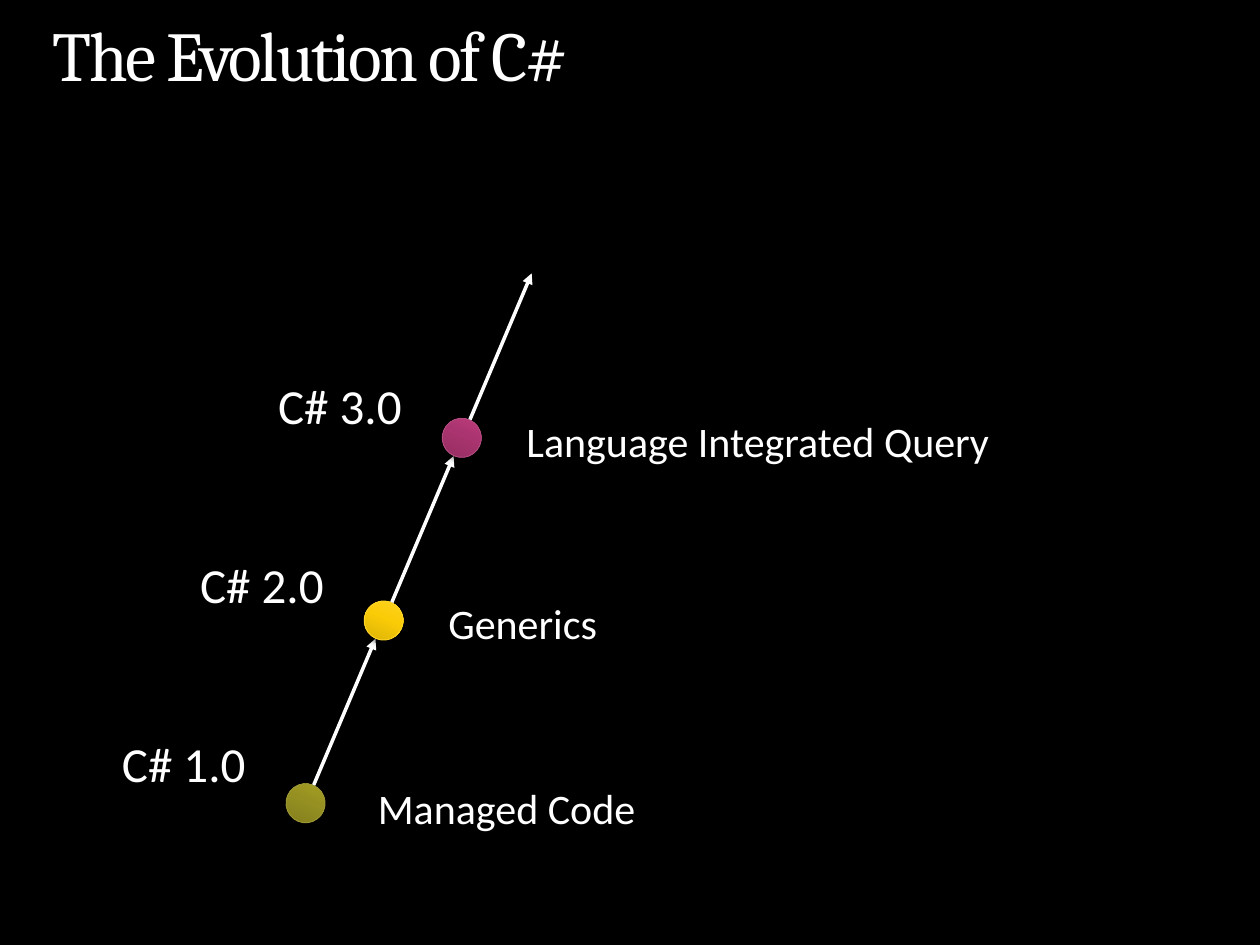
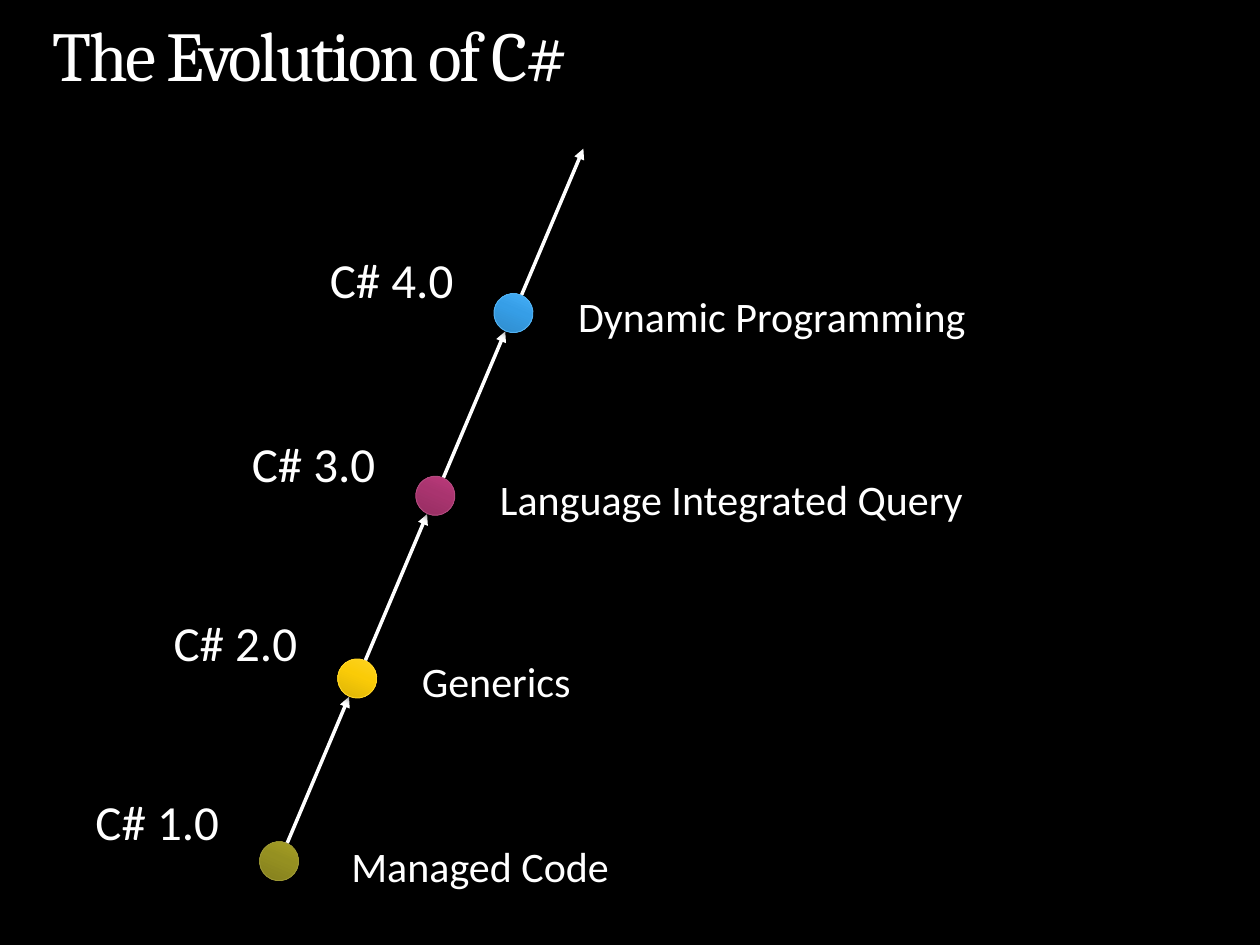
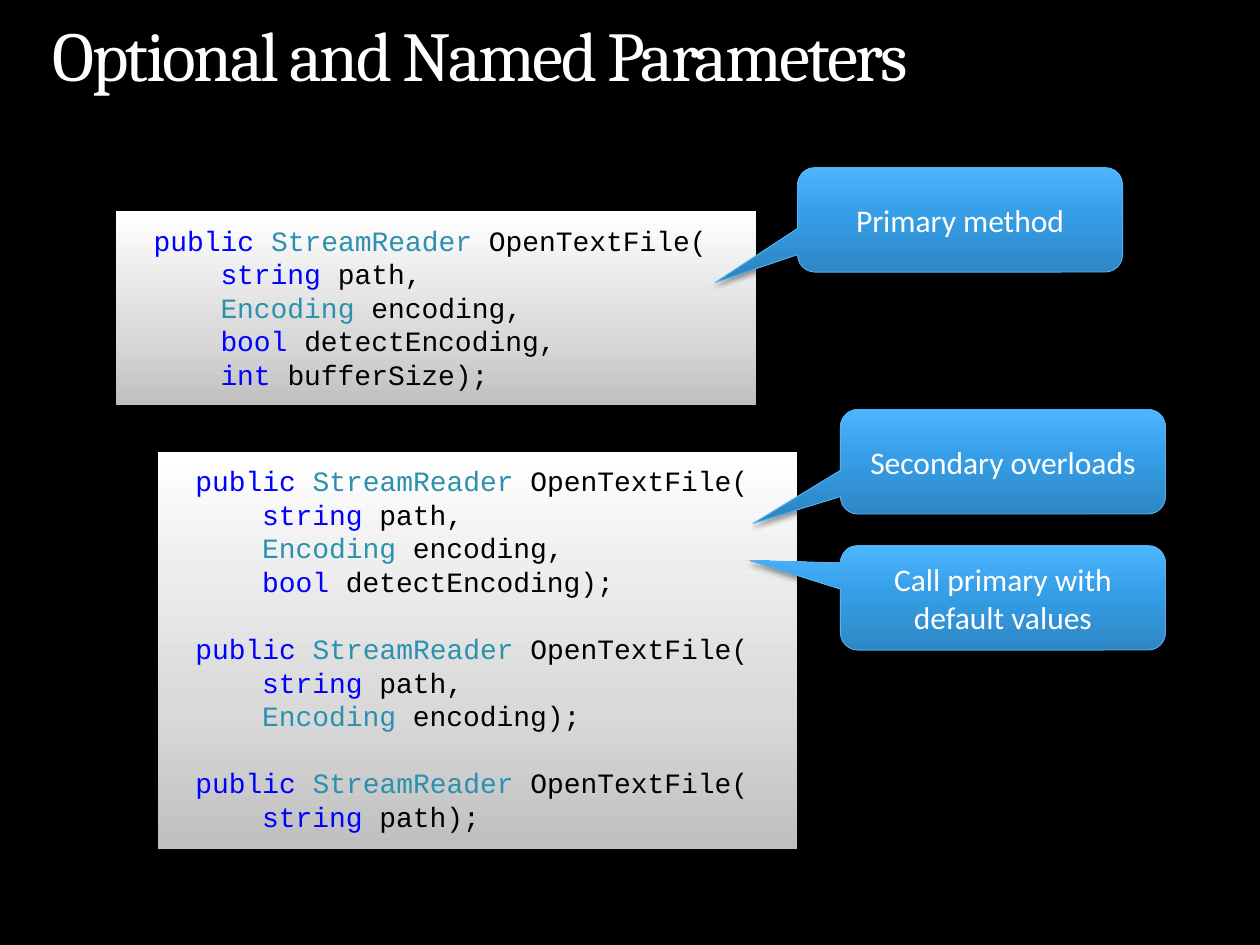
from dataclasses import dataclass

from lxml import etree
from pptx import Presentation
from pptx.dml.color import RGBColor
from pptx.enum.shapes import MSO_CONNECTOR, MSO_SHAPE
from pptx.enum.text import MSO_ANCHOR, MSO_AUTO_SIZE, PP_ALIGN
from pptx.oxml.ns import qn
from pptx.shapes.autoshape import Shape
from pptx.slide import Slide
from pptx.util import Inches, Pt

OVAL = MSO_SHAPE.OVAL
RECTANGLE = MSO_SHAPE.RECTANGLE
CALLOUT = MSO_SHAPE.ROUNDED_RECTANGULAR_CALLOUT
STRAIGHT = MSO_CONNECTOR.STRAIGHT
TOP, MIDDLE = MSO_ANCHOR.TOP, MSO_ANCHOR.MIDDLE
LEFT, CENTER = PP_ALIGN.LEFT, PP_ALIGN.CENTER
FIT_SHAPE = MSO_AUTO_SIZE.SHAPE_TO_FIT_TEXT

BLACK = RGBColor(0x00, 0x00, 0x00)
WHITE = RGBColor(0xFF, 0xFF, 0xFF)
KEYWORD_BLUE = RGBColor(0x00, 0x00, 0xFF)
TYPE_TEAL = RGBColor(0x2B, 0x91, 0xAF)

TITLE_FONT = {"name": "Cambria", "size": Pt(40)}
VERSION_FONT = {"name": "Calibri", "size": Pt(28)}
FEATURE_FONT = {"name": "Calibri", "size": Pt(24)}
CALLOUT_FONT = {"name": "Calibri", "size": Pt(18)}
CODE_FONT = {"name": "Courier New", "size": Pt(16)}
NO_MARGINS = dict.fromkeys(("margin_left", "margin_top", "margin_right", "margin_bottom"), 0)
CODE_FRAME = {"margin_left": Inches(0.2), "margin_right": Inches(0.2),
              "margin_top": Inches(0.1), "margin_bottom": Inches(0.1),
              "vertical_anchor": TOP, "word_wrap": True}
CODE_LINE = Pt(19.2)
CODE_INDENT, PARAMETER_INDENT = 0.1, 0.63
WORD_COLORS = {
    **dict.fromkeys(("public", "string", "bool", "int"), KEYWORD_BLUE),
    **dict.fromkeys(("StreamReader", "Encoding"), TYPE_TEAL),
}

DOT_SIZE, DOT_TILT = 0.31, 23.2
STEP_X, STEP_Y = 0.62, -1.45


@dataclass(frozen=True)
class Finish:
    """Gradient stops from bottom to top, outline colour and shadow blur."""
    stops: tuple[tuple[int, RGBColor], ...]
    outline: RGBColor
    blur: float = 3.1


@dataclass(frozen=True)
class Milestone:
    """A language version with its text offsets from the dot."""
    version: str
    feature: str
    finish: Finish
    label_rise: float
    label_width: float
    feature_shift: tuple[float, float]
    feature_width: float


@dataclass(frozen=True)
class CodePanel:
    """A panel of method signatures, one tuple of lines each."""
    left: float
    top: float
    height: float
    methods: tuple[tuple[str, ...], ...]


@dataclass(frozen=True)
class Note:
    """A callout with the offset of its pointer."""
    left: float
    top: float
    text: str
    pointer: tuple[float, float]


def make_finish(bottom: str, middle: str, top: str, outline: str) -> Finish:
    """Return a coloured finish with the shared stop positions."""
    colors = [RGBColor.from_string(value) for value in (bottom, middle, top)]
    return Finish(tuple(zip((0, 55, 100), colors)), RGBColor.from_string(outline))


OLIVE = make_finish("7F7A1C", "959021", "AEA726", "9C9735")
GOLD = make_finish("D4AD06", "FACB07", "FFD62C", "FED529")
PLUM = make_finish("902C5E", "A9346F", "C53D81", "B24C7F")
SKY = make_finish("2D87C4", "369EE7", "4CB6FF", "55B2F1")
PAPER = Finish(((0, RGBColor(0xBF, 0xBF, 0xBF)), (35, RGBColor(0xD9, 0xD9, 0xD9)),
                (100, WHITE)), BLACK, 3.5)

MILESTONES = (
    Milestone("C# 1.0", "Managed Code", OLIVE, 0.45, 1.37, (0.63, -0.06), 5.75),
    Milestone("C# 2.0", "Generics", GOLD, 0.42, 1.37, (0.57, -0.08), 5.36),
    Milestone("C# 3.0", "Language Integrated Query", PLUM, 0.39, 1.37, (0.57, -0.07), 5.36),
    Milestone("C# 4.0", "Dynamic Programming", SKY, 0.4, 1.2, (0.57, -0.07), 3.5),
)

SIGNATURE = "public StreamReader OpenTextFile("
PANELS = (
    CodePanel(0.92, 1.67, 1.55, (
        (SIGNATURE, "string path,", "Encoding encoding,", "bool detectEncoding,",
         "int bufferSize);"),
    )),
    CodePanel(1.25, 3.58, 3.16, (
        (SIGNATURE, "string path,", "Encoding encoding,", "bool detectEncoding);"),
        (SIGNATURE, "string path,", "Encoding encoding);"),
        (SIGNATURE, "string path);"),
    )),
)
NOTES = (
    Note(6.33, 1.33, "Primary method", (-0.754, 0.601)),
    Note(6.67, 3.25, "Secondary overloads", (-0.769, 0.591)),
    Note(6.67, 4.33, "Call primary with default values", (-0.779, -0.357)),
)


def apply(target: object, values: dict) -> None:
    """Set every named attribute on the target."""
    for name, value in values.items():
        setattr(target, name, value)


def add_span(para, text: str, font: dict, color: RGBColor = WHITE):
    """Append a formatted run to a paragraph."""
    span = para.add_run()
    span.text = text
    apply(span.font, font)
    span.font.color.rgb = color
    return span


def add_text(page: Slide, at: tuple[float, float, float, float], text: str,
             font: dict, frame_values: dict):
    """Add a one-paragraph text box and return its paragraph and run."""
    box = page.shapes.add_textbox(*map(Inches, at))
    apply(box.text_frame, {"auto_size": FIT_SHAPE, **frame_values})
    para = box.text_frame.paragraphs[0]
    return para, add_span(para, text, font)


def add_page(deck, title: str) -> Slide:
    """Add a black page with its title."""
    page = deck.slides.add_slide(deck.slide_layouts[6])
    page.background.fill.solid()
    page.background.fill.fore_color.rgb = BLACK
    para, span = add_text(page, (0.42, 0.17, 9.15, 0.61), title, TITLE_FONT,
                          {"word_wrap": True, **NO_MARGINS})
    para.line_spacing = 0.9
    span.font._element.set("spc", "-150")
    return page


def add_color(parent, color: RGBColor):
    """Append an RGB colour element."""
    return etree.SubElement(parent, qn("a:srgbClr"), val=str(color))


def add_finished_shape(page: Slide, kind, at: tuple[float, float, float, float],
                       finish: Finish) -> Shape:
    """Add a shape with a gradient, thin outline and soft shadow."""
    shape = page.shapes.add_shape(kind, *map(Inches, at))
    shape.fill.gradient()
    shape.fill.gradient_angle = 90
    properties = shape._element.spPr
    stops = properties.find(".//" + qn("a:gsLst"))
    for stop in list(stops):
        stops.remove(stop)
    for position, color in finish.stops:
        add_color(etree.SubElement(stops, qn("a:gs"), pos=str(position * 1000)), color)
    shape.line.color.rgb = finish.outline
    shape.line.width = Pt(0.5)
    shape.shadow.inherit = False
    shadow = etree.SubElement(properties.find(qn("a:effectLst")), qn("a:outerShdw"),
                              blurRad=str(Pt(finish.blur)), dist=str(Pt(2)),
                              dir="5400000", rotWithShape="0")
    etree.SubElement(add_color(shadow, BLACK), qn("a:alpha"), val="38000")
    return shape


def add_arrow(page: Slide, start: tuple[float, float], end: tuple[float, float]) -> None:
    """Draw a white arrow between two points."""
    arrow = page.shapes.add_connector(STRAIGHT, *map(Inches, start + end))
    arrow.line.color.rgb = WHITE
    arrow.line.width = Pt(2)
    etree.SubElement(arrow.line._get_or_add_ln(), qn("a:tailEnd"), type="triangle")
    etree.SubElement(arrow._element.spPr, qn("a:effectLst"))


def add_milestone(page: Slide, milestone: Milestone, left: float, top: float) -> None:
    """Draw a version dot, its onward arrow and both labels."""
    dot = add_finished_shape(page, OVAL, (left, top, DOT_SIZE, DOT_SIZE), milestone.finish)
    dot.rotation = DOT_TILT
    add_arrow(page, (left + 0.22, top + 0.01), (left + 0.71, top - 1.15))
    add_text(page, (left - 1.4, top - milestone.label_rise, milestone.label_width, 0.58),
             milestone.version, VERSION_FONT, {"word_wrap": False})
    shift_x, shift_y = milestone.feature_shift
    add_text(page, (left + shift_x, top + shift_y, milestone.feature_width, 0.51),
             milestone.feature, FEATURE_FONT, {"word_wrap": True})


def add_evolution_page(deck, count: int, left: float, top: float) -> None:
    """Add the timeline of the first versions, climbing from the given dot."""
    page = add_page(deck, "The Evolution of C#")
    for index, milestone in enumerate(MILESTONES[:count]):
        add_milestone(page, milestone, left + index * STEP_X, top + index * STEP_Y)


def add_code_panel(page: Slide, panel: CodePanel) -> None:
    """Draw a code panel with its words coloured by role."""
    box = add_finished_shape(page, RECTANGLE, (panel.left, panel.top, 5.08, panel.height), PAPER)
    frame = box.text_frame
    apply(frame, CODE_FRAME)
    para = frame.paragraphs[0]
    for method_index, method in enumerate(panel.methods):
        for line_index, line in enumerate(method):
            if method_index or line_index:
                para = frame.add_paragraph()
            apply(para, {"alignment": LEFT, "line_spacing": CODE_LINE})
            if method_index and not line_index:
                para.space_before = CODE_LINE
            indent = PARAMETER_INDENT if line_index else CODE_INDENT
            para._p.get_or_add_pPr().set("marL", str(Inches(indent)))
            words = line.split(" ")
            for word in words[:-1]:
                add_span(para, word + " ", CODE_FONT, WORD_COLORS.get(word, BLACK))
            add_span(para, words[-1], CODE_FONT, BLACK)


def add_note(page: Slide, note: Note) -> None:
    """Draw a callout that points at the code."""
    callout = add_finished_shape(page, CALLOUT, (note.left, note.top, 2.58, 0.83), SKY)
    for index, value in enumerate(note.pointer):
        callout.adjustments[index] = value
    apply(callout.text_frame, {"word_wrap": True, "vertical_anchor": MIDDLE})
    para = callout.text_frame.paragraphs[0]
    para.alignment = CENTER
    add_span(para, note.text, CALLOUT_FONT)


def add_parameters_page(deck) -> None:
    """Add the page on optional and named parameters."""
    page = add_page(deck, "Optional and Named Parameters")
    for panel in PANELS:
        add_code_panel(page, panel)
    for note in NOTES:
        add_note(page, note)


def main() -> None:
    """Build and save the deck."""
    deck = Presentation()
    deck.slide_width, deck.slide_height = Inches(10), Inches(7.5)
    add_evolution_page(deck, 3, 2.27, 6.22)
    add_evolution_page(deck, 4, 2.06, 6.68)
    add_parameters_page(deck)
    deck.save("out.pptx")


if __name__ == "__main__":
    main()
